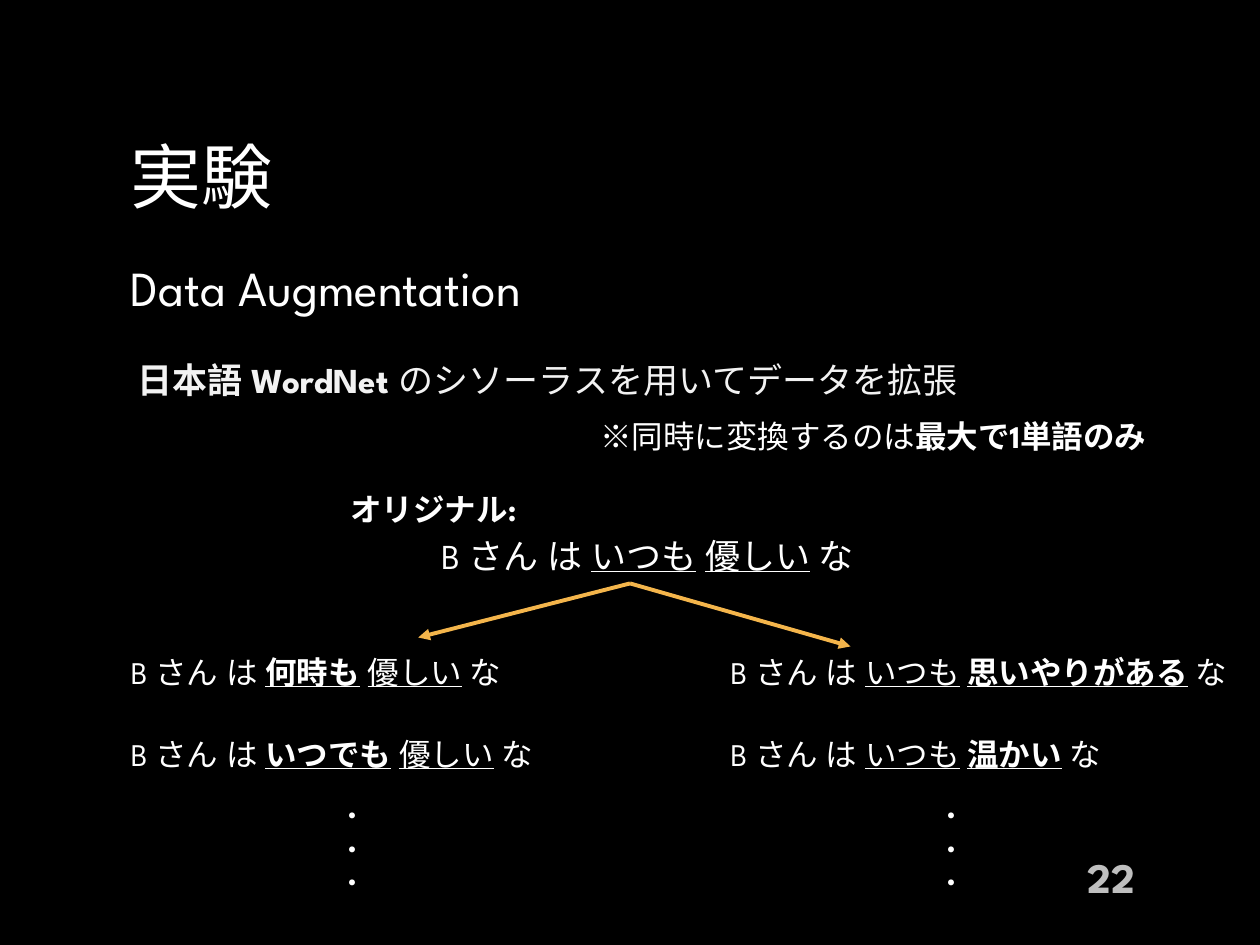
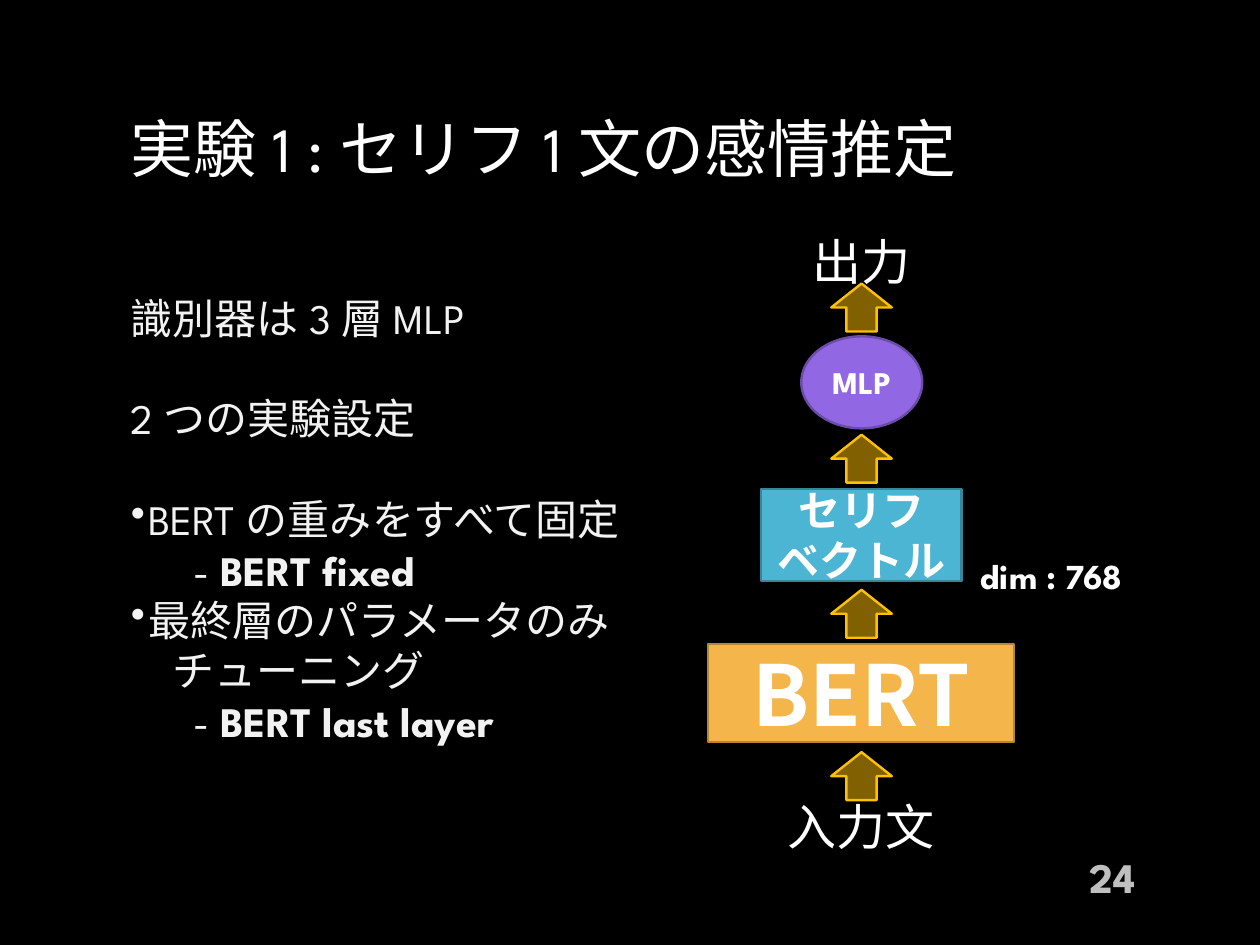
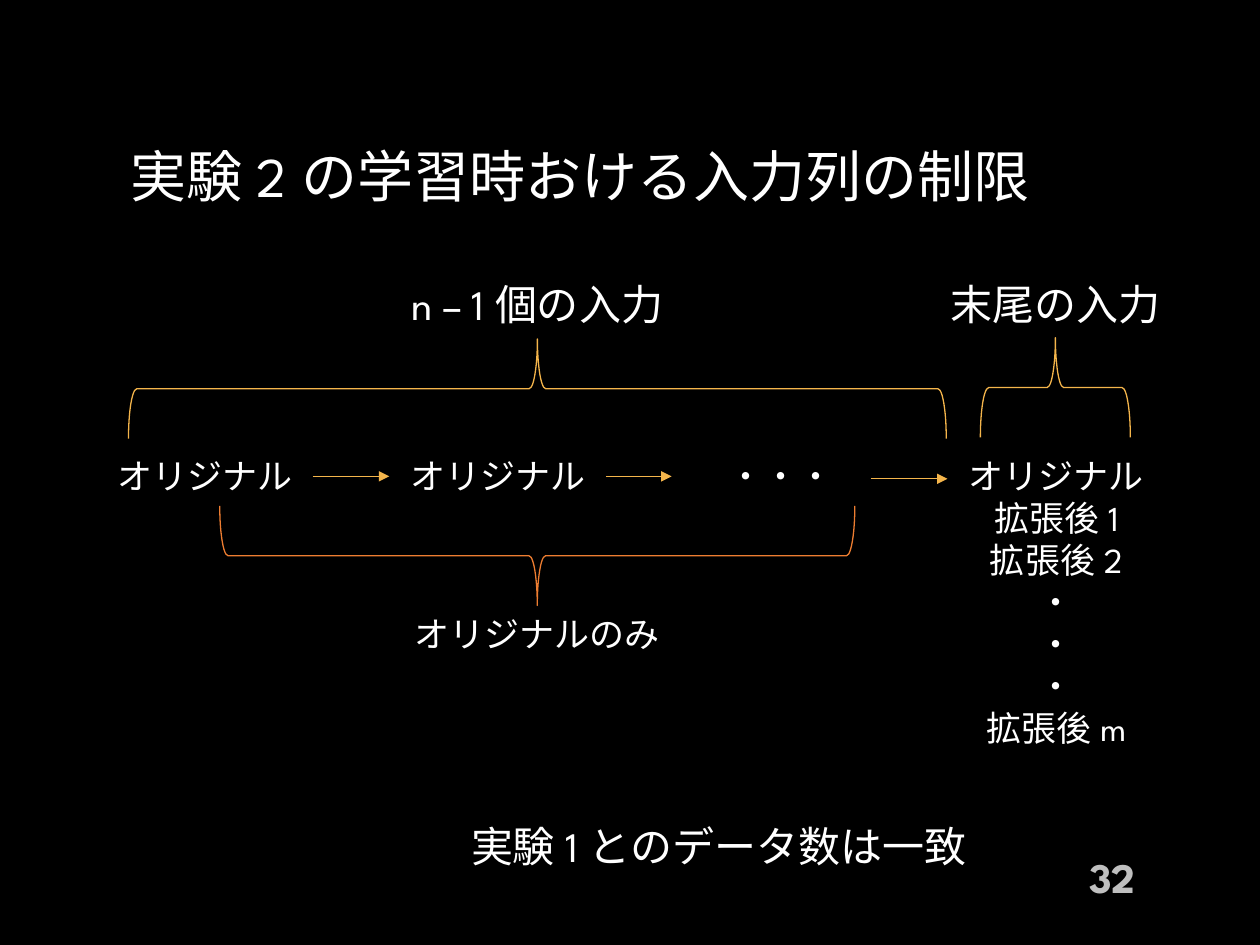
"""Build three slides on data augmentation and emotion estimation experiments."""
from lxml.etree import SubElement
from pptx import Presentation
from pptx.dml.color import RGBColor
from pptx.enum.shapes import MSO_CONNECTOR as LINE, MSO_SHAPE as SHAPE
from pptx.enum.text import MSO_ANCHOR as ANCHOR, PP_ALIGN as ALIGN
from pptx.oxml.ns import qn
from pptx.util import Pt

BLACK = RGBColor(0x00, 0x00, 0x00)
WHITE = RGBColor(0xFF, 0xFF, 0xFF)
OFF_WHITE = RGBColor(0xF2, 0xF2, 0xF2)
GRAY = RGBColor(0xBF, 0xBF, 0xBF)
GOLD = RGBColor(0xF4, 0xB5, 0x4B)
DARK_GOLD = RGBColor(0xB5, 0x86, 0x37)
AMBER = RGBColor(0xFF, 0xC0, 0x00)
ORANGE = RGBColor(0xED, 0x7D, 0x31)
PURPLE = RGBColor(0x91, 0x67, 0xE3)
DARK_PURPLE = RGBColor(0x6B, 0x4C, 0xA8)
BLUE = RGBColor(0x4C, 0xB5, 0xD3)
DARK_BLUE = RGBColor(0x38, 0x86, 0x9C)
SPARTAN = "League Spartan"
NOTO = "Noto Sans CJK JP"


def write(slide, lines, at=None, host=None, size=20, color=WHITE, bold=False,
          align=ALIGN.CENTER, anchor=ANCHOR.TOP, font=SPARTAN, pitch=1.2):
    """Write lines of text or of (text, style) runs, style letters being b and u."""
    box = host or slide.shapes.add_textbox(*map(Pt, at))
    frame = box.text_frame
    frame.word_wrap = host is None
    frame.vertical_anchor = anchor
    for number, line in enumerate(lines):
        paragraph = frame.add_paragraph() if number else frame.paragraphs[0]
        paragraph.alignment = align
        if pitch:
            paragraph.line_spacing = Pt(round(size * pitch, 1))
        for words, style in [(line, "")] if isinstance(line, str) else line:
            run = paragraph.add_run()
            run.text = words
            run.font.size = Pt(size)
            run.font.name = font
            run.font.bold = bold or "b" in style
            run.font.underline = "u" in style
            run.font.color.rgb = color
            SubElement(run.font._element, qn("a:ea"), typeface=font)
    return frame


def draw_arrow(slide, start, end, weight):
    """Draw a gold arrow between two points."""
    arrow = slide.shapes.add_connector(LINE.STRAIGHT, *map(Pt, start + end))
    arrow.line.color.rgb = GOLD
    arrow.line.width = Pt(weight)
    SubElement(arrow.line._get_or_add_ln(), qn("a:tailEnd"), type="triangle")
    SubElement(arrow._element.spPr, qn("a:effectLst"))


deck = Presentation()
deck.slide_width, deck.slide_height = Pt(720), Pt(540)

slides = []
for title, title_top, title_size, number in [
    ("実験", 67.7, 40.5, "22"),
    ("実験 1 : セリフ 1 文の感情推定", 51.8, 36, "24"),
    ("実験 2 の学習時おける入力列の制限", 67.7, 32, "32"),
]:
    slide = deck.slides.add_slide(deck.slide_layouts[6])
    slide.background.fill.solid()
    slide.background.fill.fore_color.rgb = BLACK
    write(slide, [title], (67.7, title_top, 584.6, 64.8), size=title_size,
          align=ALIGN.LEFT, anchor=ANCHOR.MIDDLE)
    write(slide, [number], (562.3, 486.7, 93.6, 28.8), size=24, color=GRAY,
          bold=True, align=ALIGN.RIGHT, anchor=ANCHOR.MIDDLE)
    slides.append(slide)
augmentation, estimation, restriction = slides

write(augmentation, ["Data Augmentation"], (67.7, 131.8, 584.6, 64.8), size=28,
      align=ALIGN.LEFT, anchor=ANCHOR.MIDDLE)
method = write(augmentation, [[("日本語 WordNet ", "b"), ("のシソーラスを用いてデータを拡張", "")]],
               (71.3, 188.6, 601.9, 120.2), color=OFF_WHITE, align=ALIGN.LEFT)
method.margin_top = Pt(16.5)
write(augmentation, [[("※同時に変換するのは", ""), ("最大で1単語のみ", "b")]],
      (328.3, 234.7, 341.3, 28.8), size=18)
write(augmentation, ["オリジナル:"], (92.9, 276.5, 309.6, 28.8), size=18, bold=True)
write(augmentation, [[("B さん は ", ""), ("いつも", "u"), (" ", ""), ("優しい", "u"), (" な ", "")]],
      (239, 301.7, 267.1, 31.7))
for target in [(239, 364.3), (486, 369.4)]:
    draw_arrow(augmentation, (360, 333.4), target, 2.25)

variants = [
    (67.7, [(("何時も", "bu"), ("優しい", "u")), (("いつでも", "bu"), ("優しい", "u"))]),
    (410.4, [(("いつも", "u"), ("思いやりがある", "bu")), (("いつも", "u"), ("温かい", "bu"))]),
]
for left, sentences in variants:
    for row, (adverb, adjective) in enumerate(sentences):
        write(augmentation, [[("B さん は ", ""), adverb, (" ", ""), adjective, (" な", "")]],
              (left, 369.4 + 47 * row, 300, 28.8), size=18, align=ALIGN.LEFT)
    write(augmentation, ["・"] * 3, (left, 452.9, 267.1, 84.2), size=16)

settings = write(estimation, [
    "識別器は 3 層 MLP",
    "2 つの実験設定",
    "BERT の重みをすべて固定",
    [("- ", ""), ("BERT fixed", "b")],
    "最終層のパラメータのみ",
    "チューニング",
    [("- ", ""), ("BERT last layer", "b")],
], (67.7, 163.4, 350.6, 290.9), size=24, color=OFF_WHITE, align=ALIGN.LEFT)
for index in (1, 2):
    settings.paragraphs[index].space_before = Pt(28.8)
for index, indent in [(2, 10), (3, 36), (4, 10), (5, 24), (6, 36)]:
    properties = settings.paragraphs[index]._p.get_or_add_pPr()
    properties.set("marL", str(Pt(indent)))
    if index in (2, 4):
        properties.set("indent", str(-Pt(indent)))
        SubElement(properties, qn("a:buChar"), char="•")

for kind, at, fill, outline, label, style in [
    (SHAPE.OVAL, (457.9, 192.2, 69.1, 52.6), PURPLE, DARK_PURPLE, ["MLP"], {"size": 18}),
    (SHAPE.RECTANGLE, (434.9, 279.4, 114.5, 52.6), BLUE, DARK_BLUE,
     ["セリフ", "ベクトル"], {"size": 24}),
    (SHAPE.RECTANGLE, (404.6, 367.9, 175, 56.2), GOLD, DARK_GOLD,
     ["BERT"], {"size": 48, "font": NOTO, "pitch": None}),
]:
    layer = estimation.shapes.add_shape(kind, *map(Pt, at))
    layer.shadow.inherit = False
    layer.fill.solid()
    layer.fill.fore_color.rgb = fill
    layer.line.color.rgb = outline
    layer.line.width = Pt(1.35)
    write(estimation, label, host=layer, bold=True, anchor=ANCHOR.MIDDLE, **style)

for top in (162, 248.4, 337, 429.8):
    flow = estimation.shapes.add_shape(SHAPE.UP_ARROW, Pt(475), Pt(top), Pt(34.6), Pt(27.4))
    flow.shadow.inherit = False
    flow.fill.solid()
    flow.fill.fore_color.rgb = AMBER
    tint = flow._element.spPr.find(qn("a:solidFill"))[0]
    SubElement(tint, qn("a:alpha"), val="50000")
    flow.line.color.rgb = AMBER
    flow.line.width = Pt(1.35)
for label, top in [("出力", 128.9), ("入力文", 451.4)]:
    write(estimation, [label], (412.6, top, 159.1, 34.6), size=28)
write(estimation, ["dim : 768"], (549.4, 313.2, 103, 31.7), bold=True)

for lines, left, height in [
    (["オリジナル"], 54.7, 31.7),
    (["オリジナル"], 222.5, 31.7),
    (["・・・"], 383.8, 31.7),
    (["オリジナル", "拡張後 1", "拡張後 2", "・", "・", "・", "拡張後 m"], 541.4, 177.1),
]:
    write(restriction, lines, (left, 256.3, 124.6, height))
for start, end, level in [(178.6, 222.5, 272.2), (346.3, 383.8, 272.2), (497.5, 541.4, 273.6)]:
    draw_arrow(restriction, (start, level), (end, level), 0.75)

for left, top, length, turn, color in [
    (278.6, -11.5, 467.3, 90, GOLD),
    (574.6, 178.6, 85.7, 90, GOLD),
    (278.6, 136.1, 362.9, 270, ORANGE),
]:
    brace = restriction.shapes.add_shape(SHAPE.LEFT_BRACE, Pt(left), Pt(top), Pt(56.9), Pt(length))
    brace.rotation = turn
    brace.shadow.inherit = False
    brace.fill.background()
    brace.line.color.rgb = color
    brace.line.width = Pt(0.75)

write(restriction, ["n – 1 個の入力"], (206.6, 155.5, 200.9, 36), size=24)
write(restriction, ["末尾の入力"], (530.6, 155.5, 144.7, 36), size=24)
write(restriction, ["オリジナルのみ"], (229.7, 346.3, 154.8, 31.7))
write(restriction, ["実験 1 とのデータ数は一致"], (262.1, 465.1, 329, 36), size=24, align=ALIGN.LEFT)

deck.save("out.pptx")
